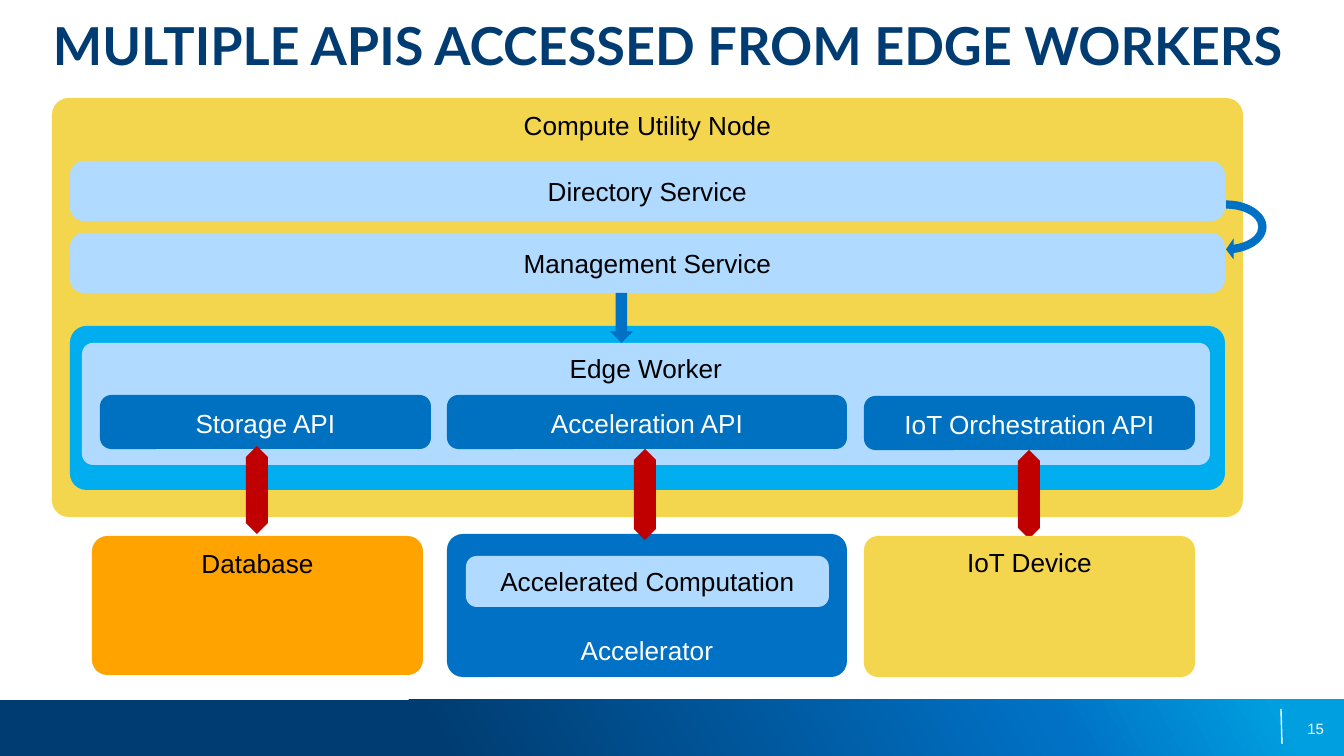
import pptx
import pptx.util
import pptx.dml.color
import pptx.enum.shapes
import pptx.enum.text
import pptx.oxml
import pptx.oxml.ns
from lxml import etree

RGB = pptx.dml.color.RGBColor
SHAPE = pptx.enum.shapes.MSO_SHAPE
ALIGN = pptx.enum.text.PP_ALIGN
ANCHOR = pptx.enum.text.MSO_ANCHOR
qn = pptx.oxml.ns.qn

NAVY = RGB(0x00, 0x3C, 0x71)
BLUE = RGB(0x00, 0x71, 0xC5)
API_BLUE = RGB(0x00, 0x70, 0xC0)
CYAN = RGB(0x00, 0xAE, 0xEF)
SKY = RGB(0x00, 0x9F, 0xDF)
PALE = RGB(0xB0, 0xDA, 0xFF)
YELLOW = RGB(0xF3, 0xD5, 0x4E)
ORANGE = RGB(0xFF, 0xA3, 0x00)
RED = RGB(0xC0, 0x00, 0x00)
BLACK = RGB(0, 0, 0)
WHITE = RGB(0xFF, 0xFF, 0xFF)

PX_PER_INCH = 134.4


def px(n):
    return round(n * 914400 / PX_PER_INCH)


def write(tf, text, size=14, font="Arial", color=BLACK, bold=False,
          align=ALIGN.CENTER, anchor=ANCHOR.TOP, inset=None):
    tf.word_wrap = True
    tf.vertical_anchor = anchor
    if inset is not None:
        tf.margin_left = tf.margin_right = px(inset)
        tf.margin_top = tf.margin_bottom = px(inset)
    p = tf.paragraphs[0]
    p.alignment = align
    r = p.add_run()
    r.text = text
    r.font.size = pptx.util.Pt(size)
    r.font.name = font
    r.font.bold = bold
    r.font.color.rgb = color


def add_shape(s, kind, box, fill, adj=()):
    sp = s.shapes.add_shape(kind, *map(px, box))
    sp.shadow.inherit = False
    sp.fill.solid()
    sp.fill.fore_color.rgb = fill
    sp.line.fill.background()
    for i, value in enumerate(adj):
        sp.adjustments[i] = value
    return sp


def add_block(s, box, fill, adj, text=None, **fmt):
    sp = add_shape(s, SHAPE.ROUNDED_RECTANGLE, box, fill, [adj])
    if text:
        write(sp.text_frame, text, **fmt)


def add_text(s, box, text, **fmt):
    write(s.shapes.add_textbox(*map(px, box)).text_frame, text, **fmt)


def add_footer(s, box, number):
    x, y, w, h = box
    # Gradient bar
    bar = add_shape(s, SHAPE.RECTANGLE, box, NAVY)
    bar.fill.gradient()
    grad = bar.element.spPr.find(qn("a:gradFill"))
    stops = grad.find(qn("a:gsLst"))
    for stop in list(stops):
        stops.remove(stop)
    for pos, color in ((0, NAVY), (32, NAVY), (78, BLUE), (95, SKY), (100, SKY)):
        stop = etree.SubElement(stops, qn("a:gs"), pos=str(pos * 1000))
        etree.SubElement(stop, qn("a:srgbClr"), val=str(color))
    grad.find(qn("a:lin")).set("ang", str(331 * 60000))
    # Divider and slide number
    line = s.shapes.add_connector(
        pptx.enum.shapes.MSO_CONNECTOR.STRAIGHT,
        px(x + w - 63), px(y + 9), px(x + w - 62), px(y + 44))
    line.line.color.rgb = WHITE
    line.line.width = pptx.util.Pt(0.75)
    etree.SubElement(line.element.spPr, qn("a:effectLst"))
    add_text(s, (x + w - 333, y + 9, 313, 40), number, size=8, color=WHITE,
             align=ALIGN.RIGHT, anchor=ANCHOR.MIDDLE, inset=0)


def add_node(s, box):
    x, y, w, h = box
    left, inner = x + 18, w - 36
    add_block(s, box, YELLOW, 0.04, "Compute Utility Node")
    # Services
    for i, name in enumerate(("Directory Service", "Management Service")):
        add_block(s, (left, y + 63 + 72 * i, inner, 60), PALE, 0.23, name,
                  anchor=ANCHOR.MIDDLE)
    # Edge worker
    add_block(s, (left, y + 228, inner, 164), CYAN, 0.1)
    add_block(s, (left + 12, y + 245, inner - 27, 122), PALE, 0.09, "Edge Worker")
    # Flow between services and worker
    add_shape(s, SHAPE.DOWN_ARROW, (x + 558, y + 195, 23, 50), BLUE)
    loop = add_shape(s, SHAPE.CIRCULAR_ARROW, (x + w - 50, y + 82, 66, 94), BLUE,
                     (0.125, 11.423, 204.577, 108, 0.16))
    loop.rotation = 90


def add_api(s, box, name):
    add_block(s, box, API_BLUE, 0.21, name, color=WHITE, anchor=ANCHOR.BOTTOM)


def add_link(s, box):
    add_shape(s, SHAPE.UP_DOWN_ARROW, box, RED, (0.5, 1.07))


def add_accelerator(s, box):
    x, y, w, h = box
    add_block(s, box, BLUE, 0.11, "Accelerator", color=WHITE, anchor=ANCHOR.BOTTOM)
    add_block(s, (x + 19, y + 22, w - 37, 51), PALE, 0.21,
              "Accelerated Computation", anchor=ANCHOR.BOTTOM)


def main():
    prs = pptx.Presentation()
    prs.slide_width, prs.slide_height = px(1344), px(756)
    s = prs.slides.add_slide(prs.slide_layouts[6])

    add_footer(s, (0, 700, 1344, 56), "15")
    add_text(s, (40, 0, 1271, 82), "MULTIPLE APIS ACCESSED FROM EDGE WORKERS",
             size=28, font="Lato", color=NAVY, bold=True, align=ALIGN.LEFT, inset=13)
    add_node(s, (52, 98, 1191, 419))

    # APIs
    add_api(s, (100, 395, 331, 54), "Storage API")
    add_api(s, (447, 395, 400, 54), "Acceleration API")
    add_api(s, (864, 396, 331, 54), "IoT Orchestration API")

    # Backends and their links
    add_link(s, (1018, 450, 22, 89))
    add_block(s, (864, 536, 331, 141), YELLOW, 0.1, "IoT Device")
    add_accelerator(s, (447, 534, 400, 143))
    add_link(s, (634, 449, 22, 91))
    add_block(s, (92, 536, 331, 139), ORANGE, 0.11, "Database")
    add_link(s, (246, 446, 22, 88))

    prs.save("out.pptx")


if __name__ == "__main__":
    main()
